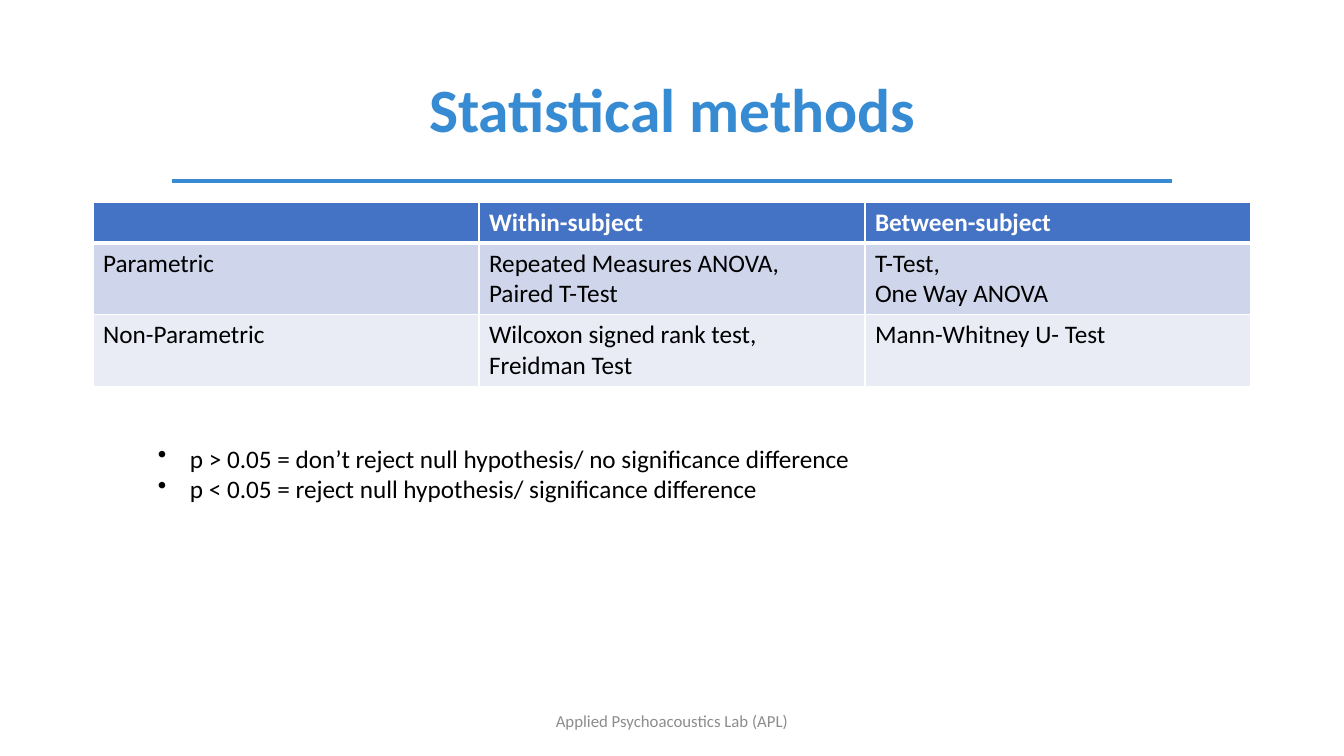
from dataclasses import dataclass

import lxml.etree
import pptx
import pptx.dml.color
import pptx.enum.shapes
import pptx.enum.text
import pptx.oxml
import pptx.oxml.ns
import pptx.util

PX = 914400 / 100.8
ALIGN = pptx.enum.text.PP_ALIGN
MIDDLE = pptx.enum.text.MSO_ANCHOR.MIDDLE


@dataclass(frozen=True)
class Theme:
    """Colours, font and type sizes of the slide."""
    font: str = "Calibri"
    accent: str = "368BD2"
    header: str = "4472C4"
    bands: tuple = ("CFD5EA", "E9EBF5")
    white: str = "FFFFFF"
    text: str = "000000"
    footer: str = "8C8C8C"
    title_size: int = 44
    body_size: int = 18
    footer_size: int = 12


THEME = Theme()

METHODS = [
    ["", "Within-subject", "Between-subject"],
    ["Parametric", "Repeated Measures ANOVA, \nPaired T-Test",
     "T-Test,\nOne Way ANOVA"],
    ["Non-Parametric", "Wilcoxon signed rank test, Freidman Test",
     "Mann-Whitney U- Test"],
]
ROW_HEIGHTS = [41, 71, 71]
RULES = [
    "p > 0.05 = don’t reject null hypothesis/ no significance difference",
    "p < 0.05 = reject null hypothesis/ significance difference",
]


def px(n):
    """Turn pixels into EMU."""
    return pptx.util.Emu(round(n * PX))


def rgb(code):
    """Return a colour object for a hex code."""
    return pptx.dml.color.RGBColor.from_string(code)


def set_text(tf, text, size, color, bold=False, align=ALIGN.LEFT):
    """Fill a text frame, one paragraph a line, in a single style."""
    tf.word_wrap = True
    tf.text = text
    for p in tf.paragraphs:
        p.alignment = align
        p.font.name = THEME.font
        p.font.size = pptx.util.Pt(size)
        p.font.bold = bold
        p.font.color.rgb = rgb(color)


def add_title(s, text, x, y, w, h):
    """Place and format the title placeholder."""
    sp = s.shapes.title
    sp.left, sp.top, sp.width, sp.height = map(px, (x, y, w, h))
    tf = sp.text_frame
    set_text(tf, text, THEME.title_size, THEME.accent, True, ALIGN.CENTER)
    tf.vertical_anchor = MIDDLE
    tf.paragraphs[0].line_spacing = 0.9


def add_rule(s, x1, x2, y):
    """Draw the horizontal line under the title."""
    line = s.shapes.add_connector(pptx.enum.shapes.MSO_CONNECTOR.STRAIGHT,
                                  px(x1), px(y), px(x2), px(y))
    line.line.color.rgb = rgb(THEME.accent)
    line.line.width = pptx.util.Pt(2.25)
    lxml.etree.SubElement(line._element.spPr, pptx.oxml.ns.qn("a:effectLst"))


def set_borders(cell, top, bottom):
    """Give a cell white borders; top and bottom widths are in points."""
    tc_pr = cell._tc.get_or_add_tcPr()
    widths = {"L": 1, "R": 1, "T": top, "B": bottom}
    for i, (side, width) in enumerate(widths.items()):
        tc_pr.insert(i, pptx.oxml.parse_xml(
            f'<a:ln{side} {pptx.oxml.ns.nsdecls("a")} w="{pptx.util.Pt(width)}">'
            f'<a:solidFill><a:srgbClr val="{THEME.white}"/></a:solidFill>'
            f'</a:ln{side}>'))


def add_methods_table(s, x, y, col_width):
    """Add the table of tests with a header row and banded rows."""
    cols = len(METHODS[0])
    table = s.shapes.add_table(len(METHODS), cols, px(x), px(y),
                               px(col_width * cols),
                               px(sum(ROW_HEIGHTS))).table
    for column in table.columns:
        column.width = px(col_width)
    for r, texts in enumerate(METHODS):
        table.rows[r].height = px(ROW_HEIGHTS[r])
        head = r == 0
        fill = THEME.header if head else THEME.bands[(r - 1) % 2]
        color = THEME.white if head else THEME.text
        for c, text in enumerate(texts):
            cell = table.cell(r, c)
            set_text(cell.text_frame, text, THEME.body_size, color, head)
            cell.fill.solid()
            cell.fill.fore_color.rgb = rgb(fill)
            set_borders(cell, 3 if r == 1 else 1, 3 if head else 1)


def add_text(s, text, x, y, w, h, size, color, align=ALIGN.LEFT):
    """Add a text box and return its text frame."""
    tf = s.shapes.add_textbox(px(x), px(y), px(w), px(h)).text_frame
    set_text(tf, text, size, color, align=align)
    return tf


def add_bullets(tf, indent):
    """Give every paragraph a round bullet with a hanging indent."""
    for p in tf.paragraphs:
        p_pr = p._p.get_or_add_pPr()
        p_pr.set("marL", str(px(indent)))
        p_pr.set("indent", str(-px(indent)))
        bullet = pptx.oxml.parse_xml(
            f'<a:buChar {pptx.oxml.ns.nsdecls("a")} char="•"/>')
        p_pr.insert_element_before(bullet, "a:tabLst", "a:defRPr", "a:extLst")


def main():
    """Build the slide and save it."""
    prs = pptx.Presentation()
    prs.slide_width, prs.slide_height = px(1344), px(756)
    s = prs.slides.add_slide(prs.slide_layouts[5])
    add_title(s, "Statistical methods", 93, 40, 1159, 146)
    add_methods_table(s, 93, 202, 386)
    add_rule(s, 172, 1172, 181)
    footer = add_text(s, "Applied Psychoacoustics Lab (APL)", 445, 701, 454, 40,
                      THEME.footer_size, THEME.footer, ALIGN.CENTER)
    footer.vertical_anchor = MIDDLE
    rules = add_text(s, "\n".join(RULES), 148, 438, 1104, 102,
                     THEME.body_size, THEME.text)
    add_bullets(rules, 32)
    prs.save("out.pptx")


main()
